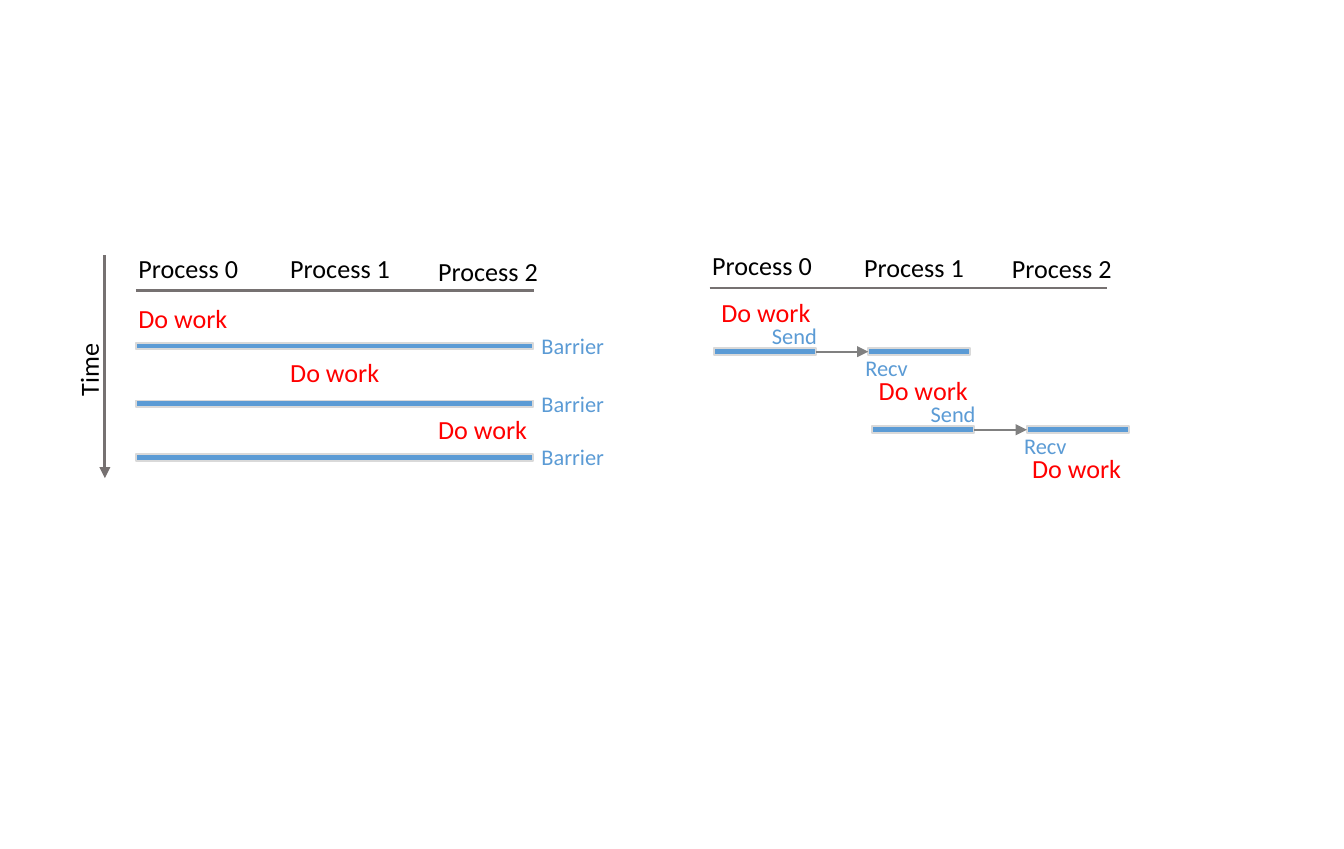
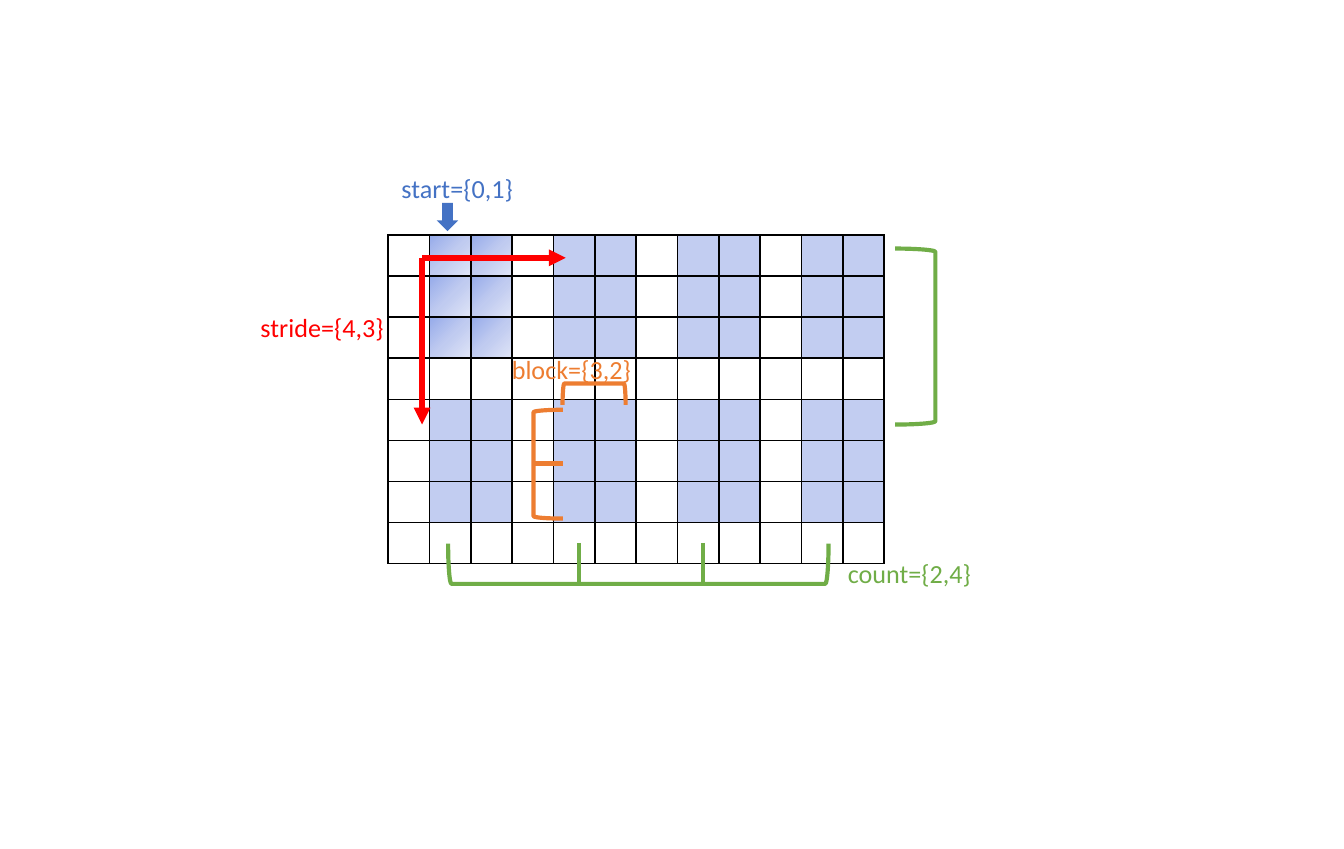
from lxml import etree
from pptx import Presentation
from pptx.dml.color import RGBColor
from pptx.enum.shapes import MSO_CONNECTOR, MSO_SHAPE
from pptx.enum.text import MSO_AUTO_SIZE
from pptx.oxml import parse_xml
from pptx.oxml.ns import nsdecls, qn
from pptx.util import Pt

STRAIGHT = MSO_CONNECTOR.STRAIGHT
RECT = MSO_SHAPE.RECTANGLE
BRACKET = MSO_SHAPE.LEFT_BRACKET
DOWN_ARROW = MSO_SHAPE.DOWN_ARROW
FIT_TEXT = MSO_AUTO_SIZE.SHAPE_TO_FIT_TEXT

FONT = "Calibri"
C = {
    "black": "000000", "red": "FF0000", "sync": "5B9BD5", "edge": "D9D9D9",
    "axis": "767171", "message": "808080", "start": "4472C4",
    "count": "70AD47", "block": "ED7D31", "selected": "C2CDF1",
}
FIRST_BLOCK = [(0, "96ABEA"), (50, "C0CBF0"), (100, "E0E5F7")]

LANES = (0, 81.4, 160.6)
BAR_H = 3.6
COLS, ROWS = 12, 8
CELL_W, CELL_H = 22.14, 22
START, STRIDE, BLOCK = (0, 1), (4, 3), (3, 2)


def rgb(name):
    return RGBColor.from_string(C[name])


def add_label(s, text, x, y, w, color, size=14, rotation=0):
    sp = s.shapes.add_textbox(Pt(x), Pt(y), Pt(w), Pt(24.2 if size == 14 else 21.8))
    sp.rotation = rotation
    tf = sp.text_frame
    tf.word_wrap = False
    tf.auto_size = FIT_TEXT
    p = tf.paragraphs[0]
    p.text = text
    p.font.name = FONT
    p.font.size = Pt(size)
    p.font.color.rgb = rgb(color)


def add_line(s, x1, y1, x2, y2, color, width, arrow=False):
    line = s.shapes.add_connector(STRAIGHT, Pt(x1), Pt(y1), Pt(x2), Pt(y2))
    line.line.color.rgb = rgb(color)
    line.line.width = Pt(width)
    if arrow:
        etree.SubElement(line.line._get_or_add_ln(), qn("a:tailEnd"), type="triangle")
    etree.SubElement(line._element.spPr, qn("a:effectLst"))


def add_figure(s, kind, x, y, w, h, fill=None, line=None, width=1, rotation=0):
    sp = s.shapes.add_shape(kind, Pt(x), Pt(y), Pt(w), Pt(h))
    sp.shadow.inherit = False
    sp.rotation = rotation
    if fill:
        sp.fill.solid()
        sp.fill.fore_color.rgb = rgb(fill)
    else:
        sp.fill.background()
    if line:
        sp.line.color.rgb = rgb(line)
        sp.line.width = Pt(width)
    else:
        sp.line.fill.background()


def add_bar(s, x, y, w):
    add_figure(s, RECT, x, y, w, BAR_H, "sync", "edge")


def add_bracket(s, x, y, w, h, color, rotation=0):
    add_figure(s, BRACKET, x, y, w, h, line=color, width=2.25, rotation=rotation)


def add_process_header(s, x, tops, rule_y):
    for i, (lane, top) in enumerate(zip(LANES, tops)):
        add_label(s, f"Process {i}", x + lane, top, 68.4, "black")
    add_line(s, x + 5.8, rule_y, x + 218.9, rule_y, "axis", 1.5)


def add_barrier_step(s, lane, work_y, bar_y):
    add_label(s, "Do work", 67 + lane, work_y, 62.6, "red")
    add_bar(s, 72.7, bar_y, 213.1)
    add_label(s, "Barrier", 283, bar_y - 9.3, 48.2, "sync", 12)


def add_handoff(s, x, y):
    add_bar(s, x, y, 54.7)
    add_bar(s, x + 82.8, y, 54.7)
    add_line(s, x + 54.7, y + 2, x + 82.8, y + 2, "message", 1, True)
    add_label(s, "Send", x + 24.2, y - 17.3, 38.9, "sync", 12)
    add_label(s, "Recv", x + 74.2, y, 37.4, "sync", 12)


def style_cell(cell, fill, gradient):
    cell.margin_left = cell.margin_right = cell.margin_top = cell.margin_bottom = 0
    p = cell.text_frame.paragraphs[0]
    etree.SubElement(p._p, qn("a:endParaRPr"), sz="1000")
    tcPr = cell._tc.get_or_add_tcPr()
    for side in "LRTB":
        tcPr.append(parse_xml(
            f'<a:ln{side} {nsdecls("a")} w="12700"><a:solidFill>'
            f'<a:srgbClr val="{C["black"]}"/></a:solidFill></a:ln{side}>'))
    if gradient:
        stops = "".join(f'<a:gs pos="{pos * 1000}"><a:srgbClr val="{color}"/></a:gs>'
                        for pos, color in gradient)
        tcPr.append(parse_xml(
            f'<a:gradFill {nsdecls("a")}><a:gsLst>{stops}</a:gsLst>'
            '<a:lin ang="2700000" scaled="0"/></a:gradFill>'))
    elif fill:
        cell.fill.solid()
        cell.fill.fore_color.rgb = rgb(fill)
    else:
        cell.fill.background()


def add_selection_grid(s, x, y):
    table = s.shapes.add_table(ROWS, COLS, Pt(x), Pt(y),
                               Pt(COLS * CELL_W), Pt(ROWS * CELL_H)).table
    table.first_row = table.horz_banding = False
    for col in table.columns:
        col.width = Pt(CELL_W)
    for row in table.rows:
        row.height = Pt(CELL_H)
    for r in range(ROWS):
        for c in range(COLS):
            dr, dc = r - START[0], c - START[1]
            selected = (dr >= 0 and dc >= 0 and dr % STRIDE[0] < BLOCK[0]
                        and dc % STRIDE[1] < BLOCK[1])
            first = selected and dr < BLOCK[0] and dc < BLOCK[1]
            style_cell(table.cell(r, c), "selected" if selected else None,
                       FIRST_BLOCK if first else None)


def build_process_slide(s):
    add_process_header(s, 67, (131.8, 131.8, 133.2), 155.5)
    add_line(s, 56.2, 136.8, 56.2, 256.3, "axis", 1.5, True)
    add_label(s, "Time", 26, 185.8, 43.2, "black", rotation=270)
    for lane, work_y, bar_y in zip(LANES, (158.4, 187.2, 218.2), (183.6, 214.6, 243.4)):
        add_barrier_step(s, lane, work_y, bar_y)

    add_process_header(s, 374.4, (130.3, 131, 131.8), 154.4)
    for i in range(2):
        add_handoff(s, 382.3 + 85 * i, 186.5 + 41.8 * i)
    for i, x in enumerate((379.4, 463.7, 545.8)):
        add_label(s, "Do work", x, 155.5 + 41.8 * i, 62.6, "red")


def build_selection_slide(s):
    add_selection_grid(s, 208, 126)

    add_figure(s, DOWN_ARROW, 234, 108.7, 11.5, 15.1, "start")
    add_label(s, "start={0,1}", 208, 88.6, 74.9, "start")

    add_label(s, "stride={4,3}", 132.5, 163.4, 81.4, "red")
    add_line(s, 226.1, 138.2, 226.1, 227.5, "red", 3, True)
    add_line(s, 226.1, 138.2, 303.1, 138.2, "red", 3, True)

    add_bracket(s, 331.2, 200.2, 21.6, 203.8, "count", 270)
    for x in (310.3, 376.6):
        add_line(s, x, 290.9, x, 312.5, "count", 2.25)
    add_bracket(s, 479.5, 133.2, 21.6, 94.3, "count", 180)
    add_label(s, "count={2,4}", 447.1, 295.2, 81.4, "count")

    add_bracket(s, 285.8, 219.6, 15.8, 58.3, "block")
    add_line(s, 285.8, 248.4, 301.7, 248.4, "block", 2.25)
    add_bracket(s, 312.5, 194.4, 11.5, 33.8, "block", 90)
    add_label(s, "block={3,2}", 267.1, 185.8, 79.2, "block")


def main():
    prs = Presentation()
    prs.slide_width, prs.slide_height = Pt(720), Pt(455)
    blank = prs.slide_layouts[6]
    for build in (build_process_slide, build_selection_slide):
        build(prs.slides.add_slide(blank))
    prs.save("out.pptx")


if __name__ == "__main__":
    main()
